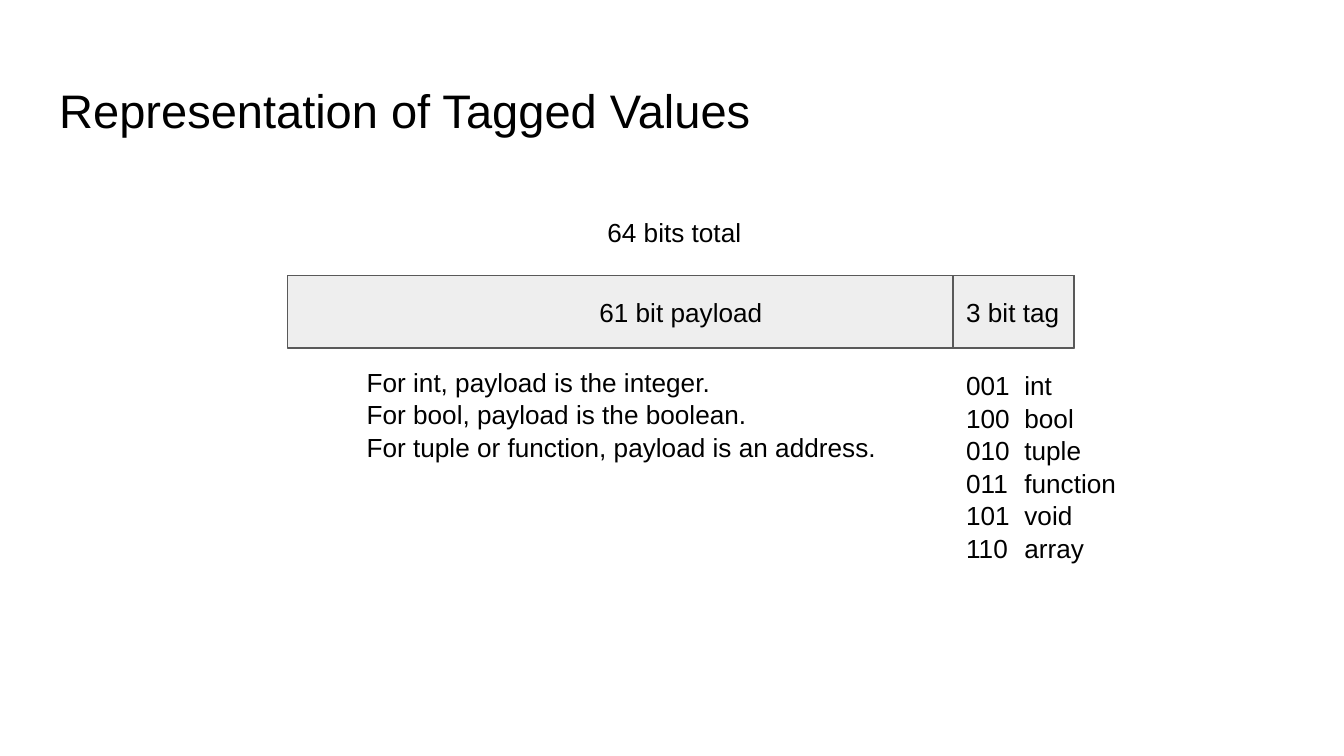
from lxml.etree import SubElement
from pptx import Presentation
from pptx.dml.color import RGBColor
from pptx.enum.shapes import MSO_SHAPE
from pptx.enum.text import MSO_ANCHOR, PP_ALIGN
from pptx.oxml.ns import qn
from pptx.util import Cm, Pt

BAR_TOP, BAR_HEIGHT = 5.21, 1.37
TAG_LEFT, TAG_WIDTH = 18.01, 2.29

PAYLOAD_NOTES = [
    "For int, payload is the integer.",
    "For bool, payload is the boolean.",
    "For tuple or function, payload is an address.",
]
TAGS = {
    "001": "int",
    "100": "bool",
    "010": "tuple",
    "011": "function",
    "101": "void",
    "110": "array",
}


def color(value):
    return RGBColor.from_string(value)


def add_tab_stop(para, position):
    tabs = SubElement(para._p.get_or_add_pPr(), qn("a:tabLst"))
    SubElement(tabs, qn("a:tab"), pos=str(Cm(position)), algn="l")


class SlideBuilder:
    font_name = "Arial"
    ink, bar_fill, bar_line = "000000", "EEEEEE", "595959"
    inset = 0.25

    def __init__(self, page):
        self.page = page

    def fill_text(self, frame, lines, size=14, align=PP_ALIGN.LEFT,
                  anchor=MSO_ANCHOR.TOP, spacing=1.0, tab=None):
        frame_format = {"word_wrap": True, "vertical_anchor": anchor}
        for side in ("left", "top", "right", "bottom"):
            frame_format[f"margin_{side}"] = Cm(self.inset)
        for name, value in frame_format.items():
            setattr(frame, name, value)
        for index, line in enumerate(lines):
            para = frame.add_paragraph() if index else frame.paragraphs[0]
            para.alignment = align
            para.line_spacing = spacing
            if tab:
                add_tab_stop(para, tab)
            span = para.add_run()
            span.text = line
            for name, value in {"name": self.font_name, "size": Pt(size)}.items():
                setattr(span.font, name, value)
            span.font.color.rgb = color(self.ink)

    def text(self, left, top, width, height, lines, **style):
        box = self.page.shapes.add_textbox(
            Cm(left), Cm(top), Cm(width), Cm(height))
        self.fill_text(box.text_frame, lines, **style)

    def field(self, left, width, label, align):
        """Draw one bit field of the 64-bit word."""
        box = self.page.shapes.add_shape(
            MSO_SHAPE.RECTANGLE,
            Cm(left), Cm(BAR_TOP), Cm(width), Cm(BAR_HEIGHT))
        box.shadow.inherit = False
        box.fill.solid()
        box.fill.fore_color.rgb = color(self.bar_fill)
        box.line.color.rgb = color(self.bar_line)
        box.line.width = Pt(0.75)
        self.fill_text(box.text_frame, [label], align=align,
                       anchor=MSO_ANCHOR.MIDDLE)


def main():
    deck = Presentation()
    deck.slide_width, deck.slide_height = Cm(25.4), Cm(14.29)
    builder = SlideBuilder(deck.slides.add_slide(deck.slide_layouts[6]))

    builder.text(0.87, 1.25, 23.67, 1.6, ["Representation of Tagged Values"],
                 size=25.2, spacing=1.04)
    builder.field(5.44, 14.86, "61 bit payload", PP_ALIGN.CENTER)
    builder.text(11.23, 3.84, 3.53, 1.12, ["64 bits total"])
    builder.field(TAG_LEFT, TAG_WIDTH, "3 bit tag", PP_ALIGN.LEFT)
    builder.text(TAG_LEFT, 6.71, 3.53, 4.11,
                 [f"{bits}\t{kind}" for bits, kind in TAGS.items()],
                 spacing=1.04, tab=1.1)
    builder.text(6.68, 6.65, 10.49, 2.31, PAYLOAD_NOTES, spacing=1.04)

    deck.save("out.pptx")


if __name__ == "__main__":
    main()
